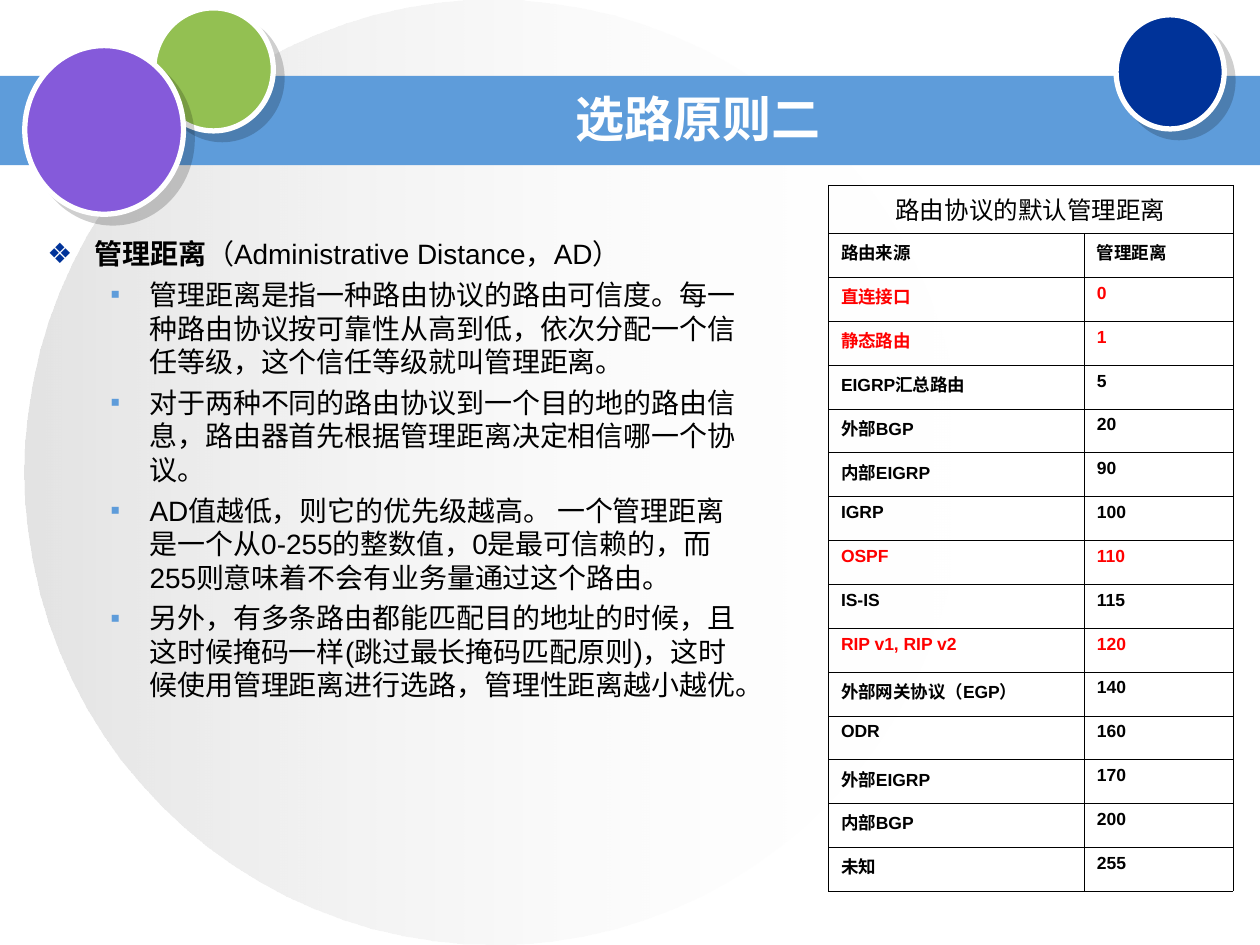
import pptx
import pptx.dml.color
import pptx.enum.shapes
import pptx.enum.text
import pptx.oxml
import pptx.oxml.ns
import pptx.util
from lxml import etree
from pptx.util import Cm, Pt

COLORS = {
    "bar": "5E9CDA", "green": "93C052", "navy": "003399", "purple": "855ADA",
    "white": "FFFFFF", "black": "000000", "red": "FF0000", "gray": "C0C0C0",
}
FONT = "Arial"
TITLE = "选路原则二"
LEAD = ("管理距离", "（Administrative Distance，AD）")
POINTS = [
    "管理距离是指一种路由协议的路由可信度。每一种路由协议按可靠性从高到低，依次分配一个信任等级，这个信任等级就叫管理距离。",
    "对于两种不同的路由协议到一个目的地的路由信息，路由器首先根据管理距离决定相信哪一个协议。",
    "AD值越低，则它的优先级越高。 一个管理距离是一个从0-255的整数值，0是最可信赖的，而255则意味着不会有业务量通过这个路由。",
    "另外，有多条路由都能匹配目的地址的时候，且这时候掩码一样(跳过最长掩码匹配原则)，这时候使用管理距离进行选路，管理性距离越小越优。",
]
TABLE_TITLE = "路由协议的默认管理距离"
DISTANCES = [
    ("路由来源", "管理距离"), ("直连接口", "0"), ("静态路由", "1"),
    ("EIGRP汇总路由", "5"), ("外部BGP", "20"), ("内部EIGRP", "90"),
    ("IGRP", "100"), ("OSPF", "110"), ("IS-IS", "115"),
    ("RIP v1, RIP v2", "120"), ("外部网关协议（EGP）", "140"), ("ODR", "160"),
    ("外部EIGRP", "170"), ("内部BGP", "200"), ("未知", "255"),
]
HIGHLIGHTED = {"直连接口", "静态路由", "OSPF", "RIP v1, RIP v2"}


def rgb(name):
    return pptx.dml.color.RGBColor.from_string(COLORS[name])


def add_xml(parent, xml):
    ns = pptx.oxml.ns.nsdecls("a")
    parent.append(pptx.oxml.parse_xml(xml.replace(">", f" {ns}>", 1)))


def style(p, size, color="black", bold=False, before=0):
    f = p.font
    f.name, f.size, f.bold = FONT, Pt(size), bold
    f.color.rgb = rgb(color)
    p.space_before = Pt(before)


def add_plain(s, kind, box, color):
    sp = s.shapes.add_shape(kind, *map(Cm, box))
    sp.shadow.inherit = False
    sp.fill.solid()
    sp.fill.fore_color.rgb = rgb(color)
    sp.line.fill.background()
    return sp


def add_backdrop(s, box):
    """Large circle fading from translucent gray to nothing."""
    sp = add_plain(s, pptx.enum.shapes.MSO_SHAPE.OVAL, box, "gray")
    sp.fill.gradient()
    sp.fill.gradient_angle = 0
    for stop, color, position in zip(sp.fill.gradient_stops, ("gray", "white"), (0, 1)):
        stop.color.rgb = rgb(color)
        stop.position = position
    stops = sp._element.spPr.iter(pptx.oxml.ns.qn("a:srgbClr"))
    for clr, alpha in zip(list(stops), (44000, 0)):
        etree.SubElement(clr, pptx.oxml.ns.qn("a:alpha"), val=str(alpha))


def add_disc(s, box, color):
    """White-rimmed circle with a hard shadow to the lower right."""
    sp = add_plain(s, pptx.enum.shapes.MSO_SHAPE.OVAL, box, color)
    sp.line.color.rgb = rgb("white")
    sp.line.width = Pt(3)
    add_xml(sp._element.spPr.find(pptx.oxml.ns.qn("a:effectLst")),
            f'<a:outerShdw blurRad="0" dist="{Pt(7.1)}" dir="2700000" algn="ctr" rotWithShape="0">'
            f'<a:srgbClr val="{COLORS["black"]}"><a:alpha val="19000"/></a:srgbClr></a:outerShdw>')


def add_decoration(s, width, height):
    add_backdrop(s, (0.5, 0, 18.9, height))
    add_plain(s, pptx.enum.shapes.MSO_SHAPE.RECTANGLE, (0, 1.53, width, 1.8), "bar")
    add_disc(s, (3.1, 0.16, 2.41, 2.48), "green")
    add_disc(s, (22.5, 0.3, 2.18, 2.3), "navy")
    add_disc(s, (0.5, 0.92, 3.2, 3.4), "purple")


def place(s, sp, box):
    """Move a placeholder to the box and to the front."""
    sp.left, sp.top, sp.width, sp.height = map(Cm, box)
    s.shapes._spTree.append(sp._element)
    tf = sp.text_frame
    tf.auto_size = pptx.enum.text.MSO_AUTO_SIZE.NONE
    return tf


def fill_title(s, box):
    tf = place(s, s.shapes.title, box)
    tf.text = TITLE
    tf.vertical_anchor = pptx.enum.text.MSO_ANCHOR.MIDDLE
    p = tf.paragraphs[0]
    p.alignment = pptx.enum.text.PP_ALIGN.CENTER
    style(p, 28, "white", bold=True)


def set_bullet(p, char, color, margin, hanging):
    pPr = p._p.get_or_add_pPr()
    pPr.set("marL", str(Cm(margin)))
    pPr.set("indent", str(-Cm(hanging)))
    add_xml(pPr, f'<a:buClr><a:srgbClr val="{COLORS[color]}"/></a:buClr>')
    add_xml(pPr, f'<a:buFont typeface="{FONT}"></a:buFont>')
    add_xml(pPr, f'<a:buChar char="{char}"></a:buChar>')


def fill_body(s, box):
    tf = place(s, s.placeholders[1], box)
    p = tf.paragraphs[0]
    style(p, 16, before=4)
    set_bullet(p, "❖", "navy", 0.95, 0.95)
    for text, bold in zip(LEAD, (True, False)):
        r = p.add_run()
        r.text = text
        r.font.bold = bold
    for text in POINTS:
        p = tf.add_paragraph()
        p.text, p.level = text, 1
        style(p, 16, before=4)
        set_bullet(p, "▪", "bar", 2.06, 0.79)


def fill_cell(cell, text, size, color, bold, before):
    cell.text = text
    style(cell.text_frame.paragraphs[0], size, color, bold, before)


def add_distance_table(s, box):
    left, top, width, height = box
    rows = len(DISTANCES) + 1
    table = s.shapes.add_table(rows, 2, *map(Cm, box)).table
    table.first_row = table.horz_banding = False
    source_width, title_height = 5.16, 0.96
    table.columns[0].width = Cm(source_width)
    table.columns[1].width = Cm(width - source_width)
    for row in table.rows:
        row.height = Cm((height - title_height) / (rows - 1))
    table.rows[0].height = Cm(title_height)

    for cell in table.iter_cells():
        for side in "LRTB":
            add_xml(cell._tc.get_or_add_tcPr(),
                    f'<a:ln{side} w="{Pt(0.23)}"><a:solidFill>'
                    f'<a:srgbClr val="{COLORS["black"]}"/></a:solidFill></a:ln{side}>')
        cell.fill.background()

    heading = table.cell(0, 0)
    heading.merge(table.cell(0, 1))
    fill_cell(heading, TABLE_TITLE, 14, "black", False, 3.5)
    heading.text_frame.paragraphs[0].alignment = pptx.enum.text.PP_ALIGN.CENTER
    for i, entry in enumerate(DISTANCES, 1):
        color = "red" if entry[0] in HIGHLIGHTED else "black"
        for j, text in enumerate(entry):
            fill_cell(table.cell(i, j), text, 10, color, True, 2.5)


def main():
    width, height = 25.4, 19.05
    prs = pptx.Presentation()
    prs.slide_width, prs.slide_height = Cm(width), Cm(height)
    s = prs.slides.add_slide(prs.slide_layouts[1])
    add_decoration(s, width, height)
    fill_title(s, (5.72, 1.7, 16.7, 1.35))
    fill_body(s, (0.7, 4.65, 14.6, 12.9))
    add_distance_table(s, (16.7, 3.73, 8.15, 14.23))
    prs.save("out.pptx")


if __name__ == "__main__":
    main()
